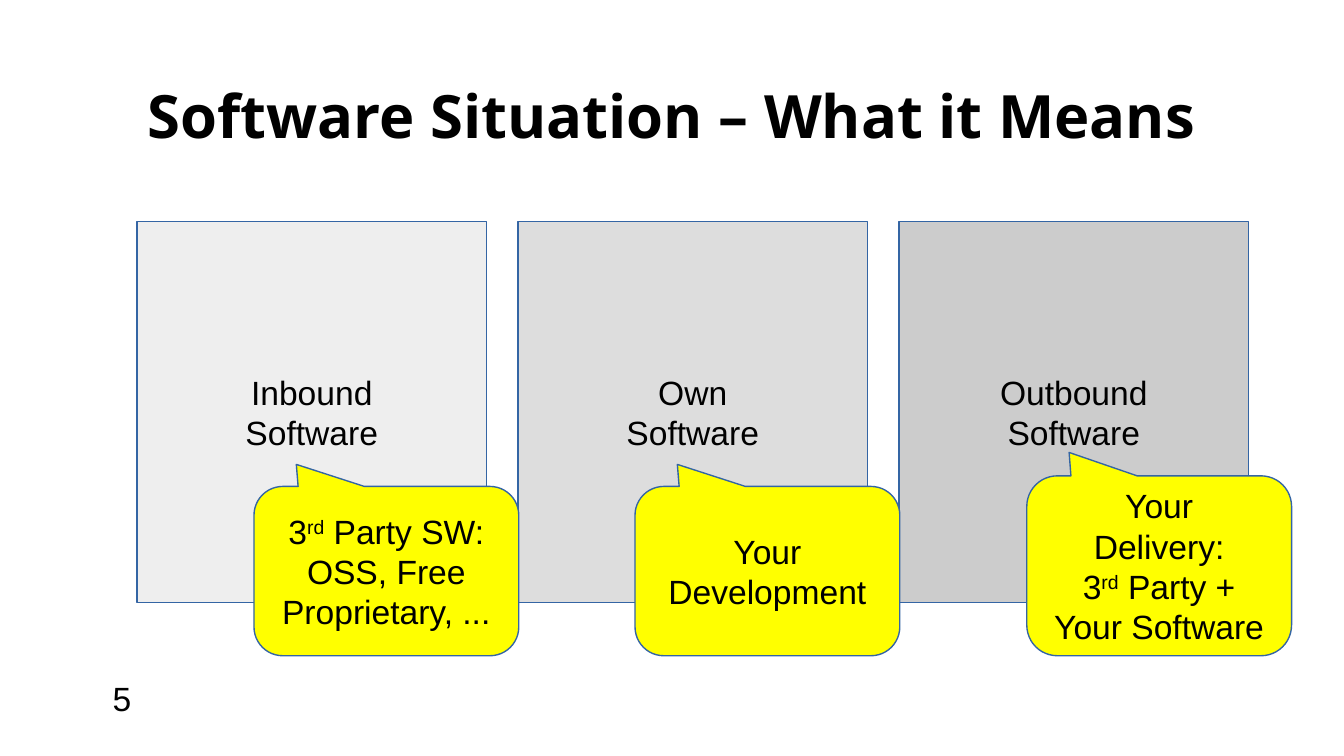
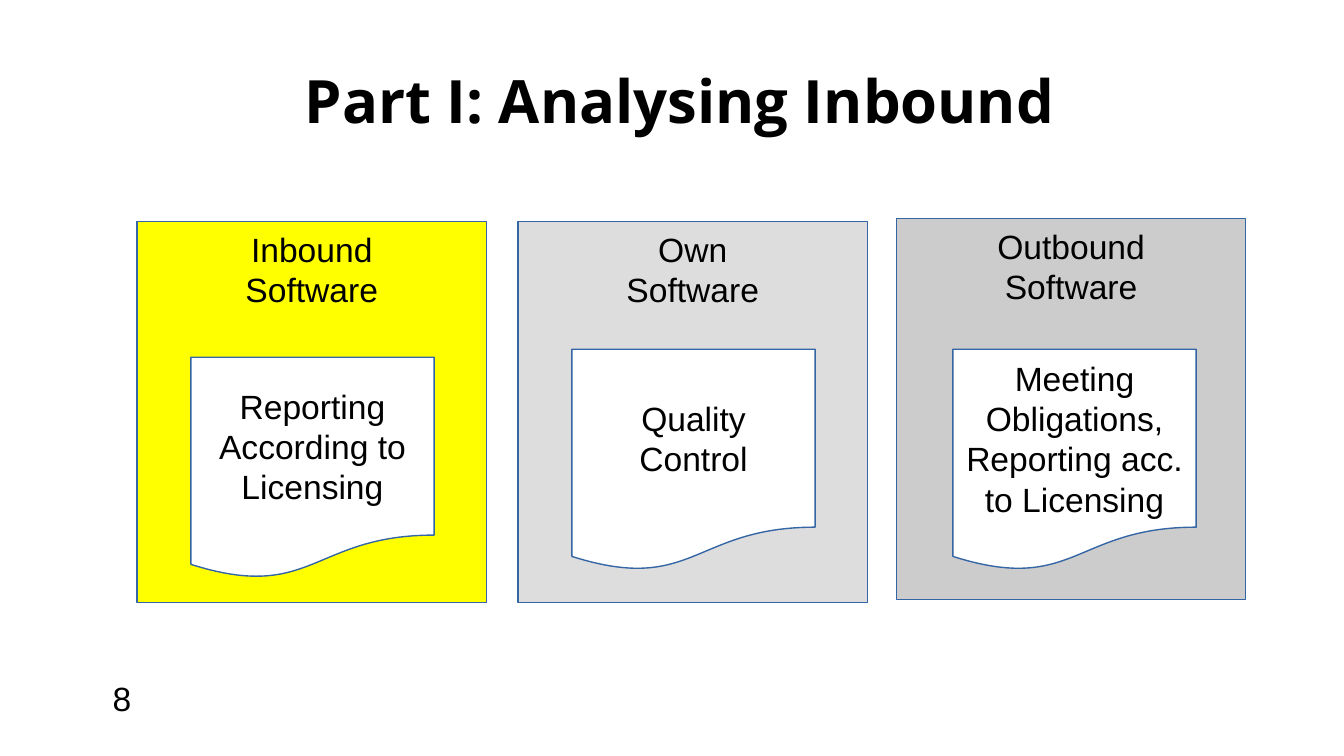
from pptx import Presentation
from pptx.dml.color import RGBColor
from pptx.enum.shapes import MSO_SHAPE
from pptx.enum.text import MSO_ANCHOR, PP_ALIGN
from pptx.util import Inches, Pt

RECT = MSO_SHAPE.RECTANGLE
CALLOUT = MSO_SHAPE.ROUNDED_RECTANGULAR_CALLOUT
DOCUMENT = MSO_SHAPE.FLOWCHART_DOCUMENT
TOP, MIDDLE, BOTTOM = MSO_ANCHOR.TOP, MSO_ANCHOR.MIDDLE, MSO_ANCHOR.BOTTOM
LEFT, CENTER = PP_ALIGN.LEFT, PP_ALIGN.CENTER

BLACK = RGBColor(0x00, 0x00, 0x00)
WHITE = RGBColor(0xFF, 0xFF, 0xFF)
YELLOW = RGBColor(0xFF, 0xFF, 0x00)
BLUE = RGBColor(0x34, 0x65, 0xA4)
LIGHT = RGBColor(0xEE, 0xEE, 0xEE)
MEDIUM = RGBColor(0xDD, 0xDD, 0xDD)
DARK = RGBColor(0xCC, 0xCC, 0xCC)

BODY_FONT, TITLE_FONT = "Arial", "Open Sans"
SUPERSCRIPT = "30000"
FIRST_X, PITCH = 10.2, 28.35
BOX_Y, BOX_W, BOX_H = 29.35, 26, 50.35
NOTE_DX, NOTE_W, NOTE_BOTTOM = 8.7, 19.7, 86.75
DOC_DX, DOC_W, DOC_H = 4, 18.1, 29.35

INBOUND = ["Inbound", "Software"]
OWN = ["Own", "Software"]
OUTBOUND = ["Outbound\nSoftware"]


class Deck:
    def __init__(self):
        self.prs = Presentation()
        self.prs.slide_width = Inches(10)
        self.prs.slide_height = Inches(5.625)
        self.slide = None

    def place(self, x, y, w, h):
        col = self.prs.slide_width / 100
        row = self.prs.slide_height / 100
        return round(x * col), round(y * row), round(w * col), round(h * row)

    def fill_text(self, sp, paragraphs, anchor, align=CENTER, font=BODY_FONT, size=18, bold=False):
        tf = sp.text_frame
        tf.word_wrap = True
        tf.vertical_anchor = anchor
        for i, text in enumerate(paragraphs):
            p = tf.paragraphs[0] if i == 0 else tf.add_paragraph()
            p.alignment = align
            p.font.name, p.font.size, p.font.bold = font, Pt(size), bold
            p.font.color.rgb = BLACK
            for j, part in enumerate(text.split("^")):
                for k, line in enumerate(part.split("\n")):
                    if k:
                        p.add_line_break()
                    r = p.add_run()
                    r.text = line
                    if j % 2:
                        r._r.get_or_add_rPr().set("baseline", SUPERSCRIPT)
        return tf

    def text(self, x, y, w, h, content, anchor, **style):
        sp = self.slide.shapes.add_textbox(*self.place(x, y, w, h))
        return self.fill_text(sp, [content], anchor, **style)

    def shape(self, kind, x, y, w, h, fill, paragraphs, anchor=MIDDLE):
        sp = self.slide.shapes.add_shape(kind, *self.place(x, y, w, h))
        sp.shadow.inherit = False
        sp.fill.solid()
        sp.fill.fore_color.rgb = fill
        sp.line.color.rgb = BLUE
        sp.line.width = Pt(0.75)
        self.fill_text(sp, paragraphs, anchor)
        return sp

    def new_slide(self, title, number, x, y):
        self.slide = self.prs.slides.add_slide(self.prs.slide_layouts[6])
        self.text(7.4, 88.75, 23.3, 7.1, number, TOP, align=LEFT)
        tf = self.text(x, y, 90, 15.3, title, BOTTOM, font=TITLE_FONT, size=32, bold=True)
        tf.margin_left = tf.margin_right = tf.margin_top = tf.margin_bottom = 0

    def box(self, col, fill, paragraphs, anchor, dx=0, dy=0):
        self.shape(RECT, FIRST_X + col * PITCH + dx, BOX_Y + dy, BOX_W, BOX_H,
                   fill, paragraphs, anchor)

    def callout(self, col, paragraphs, h=22.4, dx=0):
        sp = self.shape(CALLOUT, FIRST_X + col * PITCH + NOTE_DX + dx, NOTE_BOTTOM - h,
                        NOTE_W, h, YELLOW, paragraphs)
        for i, value in enumerate((-0.34, -0.63, 0.17)):
            sp.adjustments[i] = value

    def document(self, col, y, paragraphs):
        self.shape(DOCUMENT, FIRST_X + col * PITCH + DOC_DX, y, DOC_W, DOC_H,
                   WHITE, paragraphs)


def situation_slide(deck):
    deck.new_slide("Software Situation – What it Means", "5", 5, 4.65)
    for col, (fill, label) in enumerate([(LIGHT, INBOUND), (MEDIUM, OWN), (DARK, OUTBOUND)]):
        deck.box(col, fill, label, MIDDLE)
    deck.callout(0, ["3^rd^ Party SW:\nOSS, Free", "Proprietary, ..."])
    deck.callout(1, ["Your\nDevelopment"])
    deck.callout(2, ["Your\nDelivery:", "3^rd^ Party +\nYour Software"], h=23.8, dx=0.8)


def inbound_slide(deck):
    deck.new_slide("Part I: Analysing Inbound", "8", 5.6, 2.65)
    deck.box(0, YELLOW, INBOUND, TOP)
    deck.box(1, MEDIUM, OWN, TOP)
    deck.box(2, DARK, OUTBOUND, TOP, dx=-0.2, dy=-0.4)
    deck.document(2, 46.2, ["Meeting\nObligations,", "Reporting acc.\nto Licensing"])
    deck.document(1, 46.2, ["Quality\nControl"])
    deck.document(0, 47.25, ["Reporting\nAccording to\nLicensing"])


def main():
    deck = Deck()
    situation_slide(deck)
    inbound_slide(deck)
    deck.prs.save("out.pptx")


if __name__ == "__main__":
    main()
